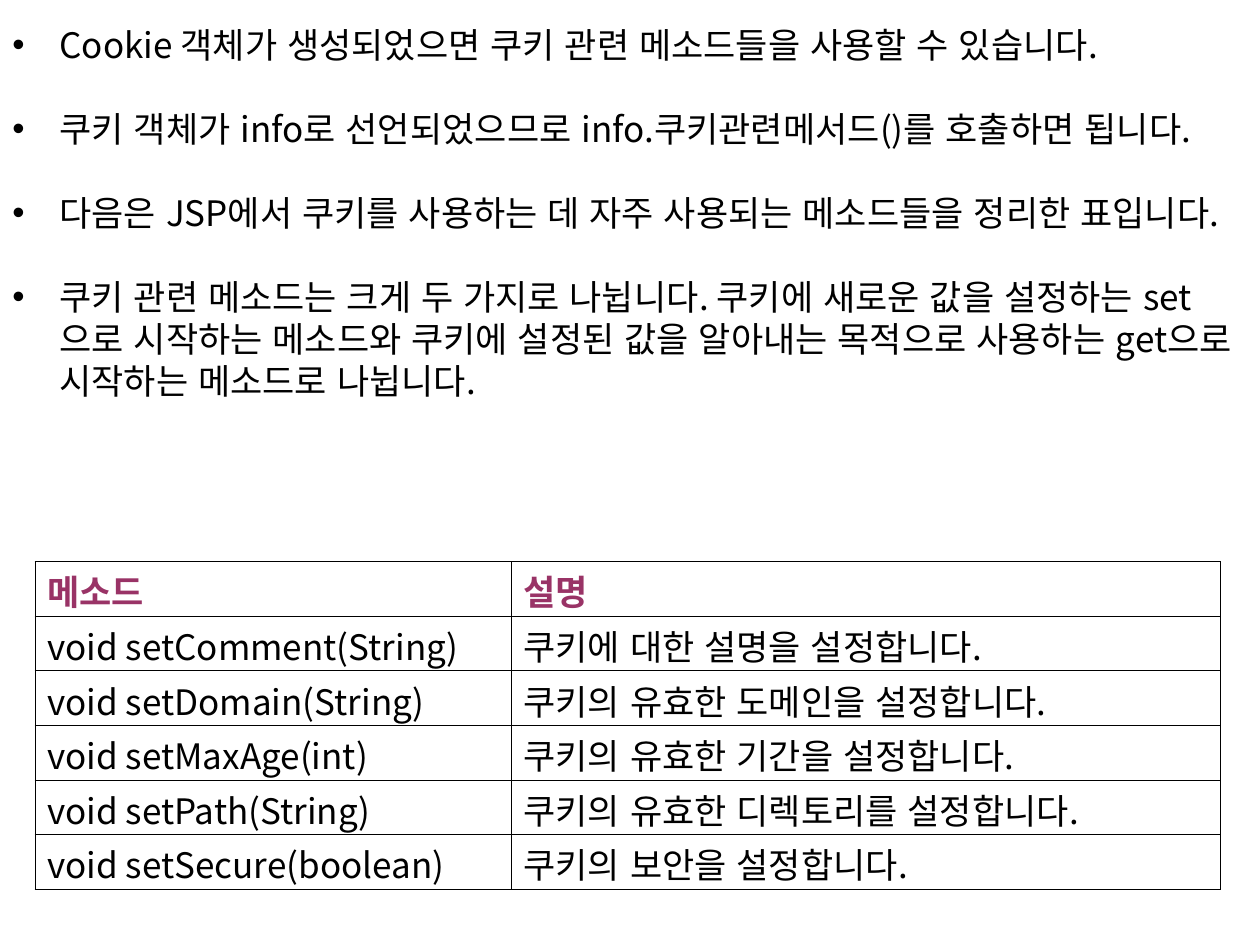
"""Builds the slide on cookie methods in JSP."""
from lxml import etree
from pptx import Presentation
from pptx import util as u
from pptx.dml import color
from pptx.enum import lang, text
from pptx.oxml import ns

FONT = "Noto Sans CJK KR"
BLACK, PLUM = "000000", "993366"
POINTS = [
    "Cookie 객체가 생성되었으면 쿠키 관련 메소드들을 사용할 수 있습니다. ",
    "쿠키 객체가 info로 선언되었으므로 info.쿠키관련메서드()를 호출하면 됩니다. ",
    "다음은 JSP에서 쿠키를 사용하는 데 자주 사용되는 메소드들을 정리한 표입니다. ",
    "쿠키 관련 메소드는 크게 두 가지로 나뉩니다. 쿠키에 새로운 값을 설정하는 "
    "set으로 시작하는 메소드와 쿠키에 설정된 값을 알아내는 목적으로 사용하는 "
    "get으로 시작하는 메소드로 나뉩니다. ",
]
METHODS = [
    ("메소드", "설명"),
    ("void setComment(String)", "쿠키에 대한 설명을 설정합니다. "),
    ("void setDomain(String)", "쿠키의 유효한 도메인을 설정합니다. "),
    ("void setMaxAge(int)", "쿠키의 유효한 기간을 설정합니다. "),
    ("void setPath(String)", "쿠키의 유효한 디렉토리를 설정합니다. "),
    ("void setSecure(boolean) ", "쿠키의 보안을 설정합니다."),
]


def rgb(value):
    """Return the colour for a hex string."""
    return color.RGBColor.from_string(value)


def add_child(parent, tag, **attributes):
    """Append a DrawingML element to a parent."""
    return etree.SubElement(parent, ns.qn(tag), attributes)


def write(para, words, ink=BLACK, bold=False):
    """Add one run of text to a paragraph with fixed line pitch."""
    para.line_spacing = u.Pt(24)
    span = para.add_run()
    span.text = words
    font = span.font
    font.name, font.size, font.bold = FONT, u.Pt(20), bold
    font.color.rgb = rgb(ink)
    font.language_id = lang.MSO_LANGUAGE_ID.KOREAN
    add_child(span._r.get_or_add_rPr(), "a:ea", typeface=FONT)


def add_points(page, left, top, width, height):
    """Place the bulleted explanation in the given box."""
    frame = page.shapes.add_textbox(left, top, width, height).text_frame
    frame.word_wrap = True
    for index, words in enumerate(POINTS):
        para = frame.add_paragraph() if index else frame.paragraphs[0]
        para.space_before = u.Pt(24 if index else 0)
        write(para, words)
        props = para._p.get_or_add_pPr()
        props.set("marL", str(u.Cm(0.95)))
        props.set("indent", str(-u.Cm(0.95)))
        add_child(props, "a:buFont", typeface="Arial")
        add_child(props, "a:buChar", char="•")


def draw_borders(cell):
    """Outline a cell with thin black lines and no fill."""
    props = cell._tc.get_or_add_tcPr()
    for side in ("L", "R", "T", "B"):
        line = add_child(props, f"a:ln{side}", w=str(u.Pt(0.28)))
        add_child(add_child(line, "a:solidFill"), "a:srgbClr", val=BLACK)
    cell.fill.background()


def add_methods(page, left, top, width, height):
    """Place the table of cookie methods in the given box."""
    table = page.shapes.add_table(len(METHODS), 2, left, top, width, height).table
    table.horz_banding = table.first_row = False
    table.columns[0].width = u.Cm(9.6)
    table.columns[1].width = width - u.Cm(9.6)
    for row, entries in enumerate(METHODS):
        for column, words in enumerate(entries):
            cell = table.cell(row, column)
            cell.vertical_anchor = text.MSO_ANCHOR.MIDDLE
            cell.margin_top, cell.margin_bottom = u.Cm(0.25), 0
            draw_borders(cell)
            para = cell.text_frame.paragraphs[0]
            para.alignment = text.PP_ALIGN.JUSTIFY
            write(para, words, BLACK if row else PLUM, bold=row == 0)


def build():
    """Build the deck and save it."""
    deck = Presentation()
    deck.slide_width, deck.slide_height = u.Cm(25.4), u.Cm(19.05)
    page = deck.slides.add_slide(deck.slide_layouts[6])
    add_points(page, 0, u.Cm(0.35), u.Cm(25.4), u.Cm(9.65))
    add_methods(page, u.Cm(0.7), u.Cm(11.32), u.Cm(23.9), u.Cm(6.6))
    deck.save("out.pptx")


build()
